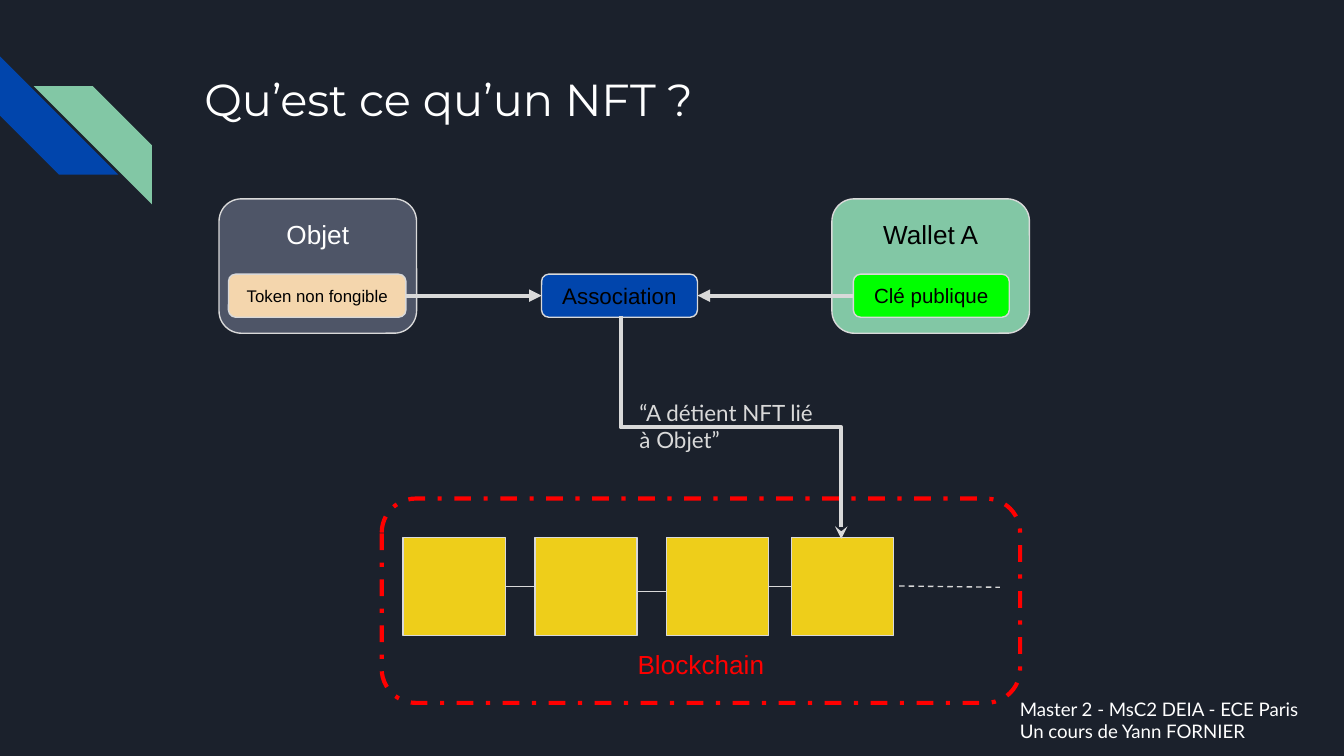
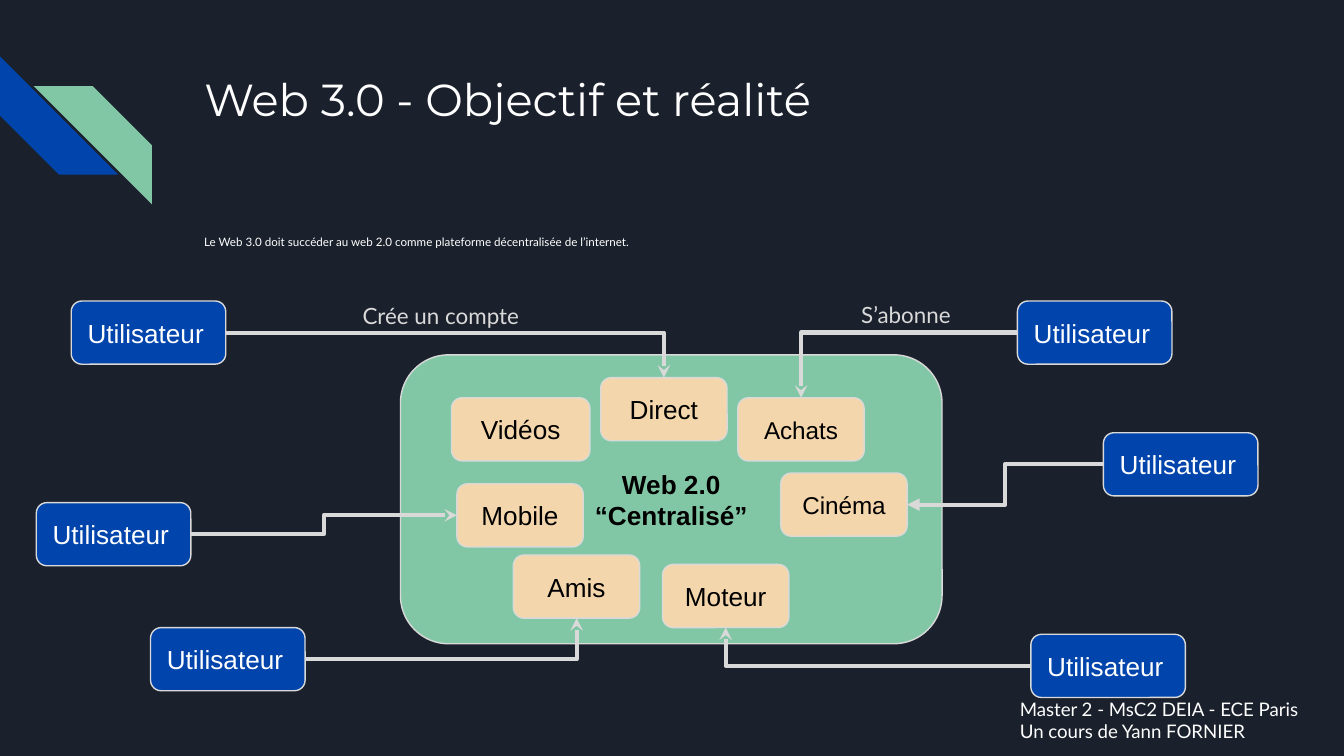
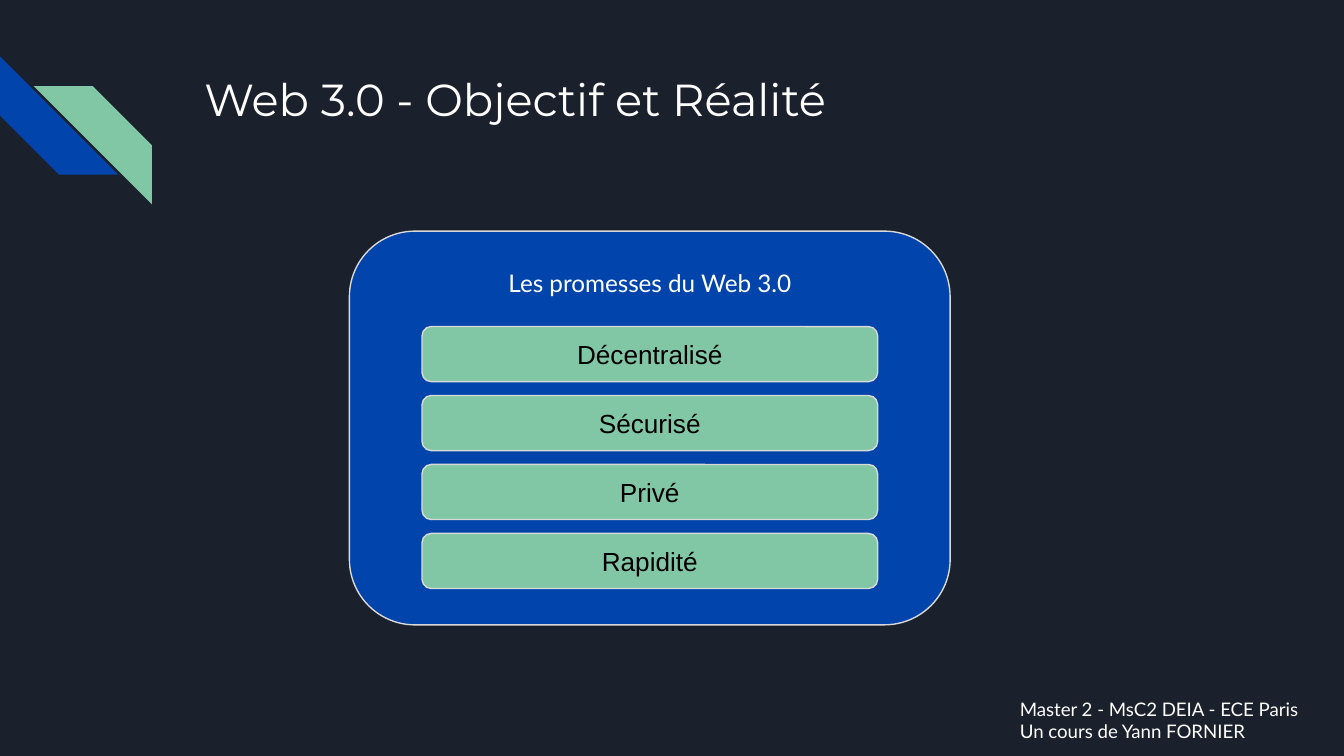
"""Build three slides on NFTs and Web 3.0."""
from lxml.etree import SubElement
from pptx import Presentation
from pptx.dml.color import RGBColor
from pptx.enum.dml import MSO_LINE
from pptx.enum.shapes import MSO_CONNECTOR, MSO_SHAPE
from pptx.enum.text import MSO_ANCHOR, MSO_AUTO_SIZE, PP_ALIGN
from pptx.oxml.ns import qn
from pptx.util import Inches, Pt

NIGHT, BLUE, GREEN, SAND = "1B212C", "0145AC", "82C7A5", "F4D6AD"
SLATE, GOLD, LIME, RED = "4E5567", "EECE1A", "00FF00", "FF0000"
GREY, WHITE, BLACK = "D9D9D9", "FFFFFF", "000000"
LEFT, CENTER = PP_ALIGN.LEFT, PP_ALIGN.CENTER
TOP, MIDDLE, BOTTOM = MSO_ANCHOR.TOP, MSO_ANCHOR.MIDDLE, MSO_ANCHOR.BOTTOM
ELBOW, STRAIGHT = MSO_CONNECTOR.ELBOW, MSO_CONNECTOR.STRAIGHT
rgb = RGBColor.from_string

prs = Presentation()
prs.slide_width, prs.slide_height = Inches(10), Inches(5.625)
COL = prs.slide_width // 100
ROW = prs.slide_height / 56.25


def box(s, at, text="", size=14, color=BLACK, fill=None, kind=MSO_SHAPE.ROUNDED_RECTANGLE,
        font="Arial", align=CENTER, anchor=MIDDLE, line=GREY):
    """Add a shape, or a text box when kind is None, at grid columns and rows."""
    x, y, w, h = at
    area = int(x * COL), int(y * ROW), int(w * COL), int(h * ROW)
    if kind is None:
        sp = s.shapes.add_textbox(*area)
    else:
        sp = s.shapes.add_shape(kind, *area)
        sp.shadow.inherit = False
        if fill:
            sp.fill.solid()
            sp.fill.fore_color.rgb = rgb(fill)
        else:
            sp.fill.background()
        if line:
            sp.line.color.rgb, sp.line.width = rgb(line), Pt(0.75)
        else:
            sp.line.fill.background()
    tf = sp.text_frame
    tf.word_wrap, tf.vertical_anchor = True, anchor
    tf.margin_left = tf.margin_right = tf.margin_top = tf.margin_bottom = COL
    tf.text = text
    for p in tf.paragraphs:
        p.alignment = align
        p.font.name, p.font.size, p.font.color.rgb = font, Pt(size), rgb(color)
    return sp


def link(s, a=None, b=None, kind=STRAIGHT, width=2.25, tail=None, start=(0, 0), end=(0, 0), dash=None):
    """Add a line between grid points, or between (shape, site) joints."""
    con = s.shapes.add_connector(kind, int(start[0] * COL), int(start[1] * ROW),
                                 int(end[0] * COL), int(end[1] * ROW))
    if a:
        con.begin_connect(*a)
    if b:
        con.end_connect(*b)
    con.line.color.rgb, con.line.width = rgb(GREY), Pt(width)
    if dash:
        con.line.dash_style = dash
    spPr = con.element.spPr
    if tail:
        SubElement(spPr.find(qn("a:ln")), qn("a:tailEnd"), type=tail)
    SubElement(spPr, qn("a:effectLst"))
    return con


bg = prs.slide_master.background.fill
bg.solid()
bg.fore_color.rgb = rgb(NIGHT)
layout = prs.slide_layouts[5]
for title in ["Qu’est ce qu’un NFT ?", "Web 3.0 - Objectif et réalité", "Web 3.0 - Objectif et Réalité"]:
    s = prs.slides.add_slide(layout)
    sp = s.shapes.title
    sp.left, sp.top, sp.width, sp.height = int(14.2 * COL), int(4.3 * ROW), 77 * COL, int(10 * ROW)
    tf = sp.text_frame
    tf.text = title
    tf.auto_size, tf.vertical_anchor, tf.word_wrap = MSO_AUTO_SIZE.NONE, TOP, True
    tf.margin_left = tf.margin_right = tf.margin_top = tf.margin_bottom = COL
    p = tf.paragraphs[0]
    p.alignment = LEFT
    p.font.name, p.font.size, p.font.color.rgb = "Montserrat", Pt(24), rgb(WHITE)

nft, web, promises = prs.slides
for x, y, turn, fill in [(0, 4.2, 270, BLUE), (2.5, 6.4, 90, GREEN)]:
    stripe = box(nft, (x, y, 8.8, 8.8), fill=fill, kind=MSO_SHAPE.DIAGONAL_STRIPE, line=None)
    stripe.rotation = turn
    layout.shapes.element.append(stripe.element)

chain = box(nft, (28.4, 37.1, 47.5, 15.2), "Blockchain", color=RED, anchor=BOTTOM)
chain.line.color.rgb, chain.line.width = rgb(RED), Pt(2.25)
chain.line.dash_style = MSO_LINE.DASH_DOT
blocks = [box(nft, (x, 40, 7.6, 7.3), fill=GOLD, kind=MSO_SHAPE.RECTANGLE) for x in (30, 39.8, 49.6, 58.9)]
for i in (0, 2):
    link(nft, (blocks[i], 3), (blocks[i + 1], 1), width=0.75)
link(nft, width=0.75, start=(47.4, 44), end=(49.6, 44))
link(nft, width=0.75, start=(66.9, 43.6), end=(74.4, 43.7), dash=MSO_LINE.DASH)

box(nft, (16.3, 14.8, 14.7, 10), "Objet", color=WHITE, fill=SLATE, anchor=TOP)
box(nft, (61.9, 14.8, 14.7, 10), "Wallet A", fill=GREEN, anchor=TOP)
token, key, pair = [
    box(nft, (x, 20.4, w, 3.2), text, size, fill=fill)
    for x, w, text, size, fill in [(17, 13.2, "Token non fongible", 9, SAND),
                                   (63.5, 11.6, "Clé publique", 11, LIME),
                                   (40.3, 11.6, "Association", 12, BLUE)]]
link(nft, (token, 3), (pair, 1), tail="triangle")
link(nft, (key, 1), (pair, 3), tail="triangle")
record = link(nft, (pair, 2), (blocks[3], 0), ELBOW, tail="stealth")
xfrm = record.element.spPr.find(qn("a:xfrm"))
xfrm.set("rot", "16200000")
xfrm.set("flipH", "1")
box(nft, (46.6, 28.7, 15.6, 6.1), "“A détient NFT lié à Objet”", 12, GREY, kind=None,
    font="Lato", align=LEFT, anchor=TOP)

intro = box(web, (14.2, 17.1, 77, 4.7),
            "Le Web 3.0 doit succéder au web 2.0 comme plateforme décentralisée de l’internet.",
            6.2, WHITE, kind=None, font="Lato", align=LEFT, anchor=TOP)
intro.text_frame.paragraphs[0].line_spacing = 0.95
hub = box(web, (29.8, 26.4, 40.3, 21.5), "Web 2.0\n“Centralisé”", fill=GREEN)
for p in hub.text_frame.paragraphs:
    p.font.bold = True
services = {
    name: box(web, (x, y, w, 4.7), name, size, fill=SAND)
    for name, x, y, w, size in [("Direct", 44.7, 28.1, 9.4, 14), ("Vidéos", 33.6, 29.6, 10.3, 14),
                                ("Moteur", 49.3, 42, 9.4, 14), ("Achats", 54.9, 29.6, 9.4, 13),
                                ("Amis", 38.2, 41.3, 9.4, 14), ("Mobile", 34, 36, 9.4, 14),
                                ("Cinéma", 58.1, 35.2, 9.4, 13)]}
for x, y, side, name, site, tail in [
        (5.3, 22.4, 3, "Direct", 0, "stealth"), (2.7, 37.4, 3, "Mobile", 1, "stealth"),
        (11.2, 46.7, 3, "Amis", 2, "stealth"), (75.7, 22.4, 1, "Achats", 0, "stealth"),
        (82.1, 32.2, 1, "Cinéma", 3, "triangle"), (76.7, 47.2, 1, "Moteur", 2, "stealth")]:
    user = box(web, (x, y, 11.5, 4.7), "Utilisateur", color=WHITE, fill=BLUE, align=LEFT)
    con = link(web, (user, side), (services[name], site), ELBOW, tail=tail)
    if site in (0, 2):
        con.element.spPr.find(qn("a:prstGeom")).set("prst", "bentConnector2")
for x, y, text in [(26, 21.5, "Crée un compte"), (63.1, 21.4, "S’abonne")]:
    box(web, (x, y, 13.7, 4), text, 12, GREY, kind=None, font="Lato", align=LEFT, anchor=TOP)

panel = box(promises, (26, 17.2, 44.7, 29.3), "Les promesses du Web 3.0", 13, WHITE, BLUE,
            font="Lato", anchor=TOP)
panel.text_frame.paragraphs[0].line_spacing = 1.15
for i, text in enumerate(["Décentralisé", "Sécurisé", "Privé", "Rapidité"]):
    box(promises, (31.4, 24.3 + 5.13 * i, 33.9, 4.1), text, fill=GREEN)

for s in prs.slides:
    box(s, (74.9, 50.9, 25.1, 5.4), "Master 2 - MsC2 DEIA - ECE Paris\nUn cours de Yann FORNIER",
        10, WHITE, kind=None, font="Lato", align=LEFT, anchor=TOP)

prs.save("out.pptx")
